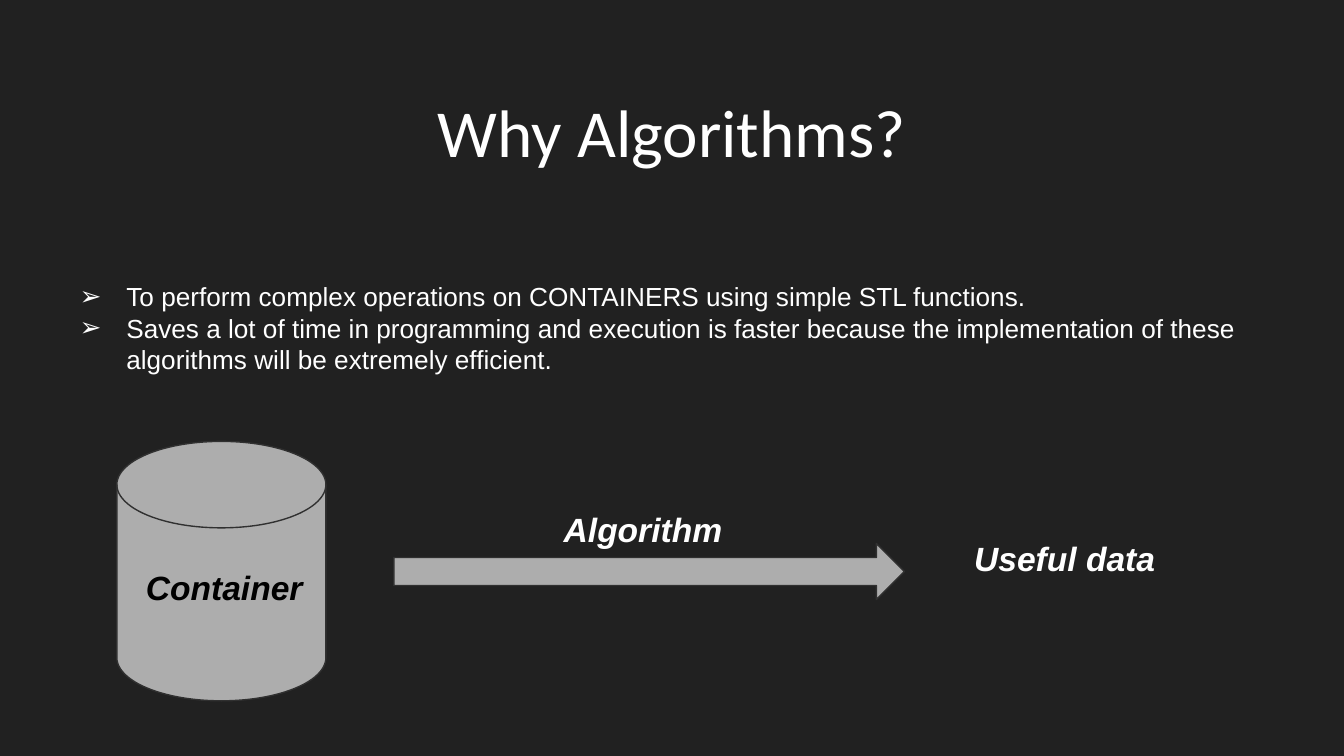
"""Build the slide that explains why algorithms are used."""
from lxml.etree import SubElement
from pptx import Presentation
from pptx.dml.color import RGBColor
from pptx.enum.shapes import MSO_SHAPE as Shape
from pptx.enum.text import MSO_ANCHOR as Anchor, MSO_AUTO_SIZE as AutoSize, PP_ALIGN as Align
from pptx.oxml.ns import qn
from pptx.util import Pt

BACKGROUND = RGBColor(0x21, 0x21, 0x21)
WHITE = RGBColor(0xFF, 0xFF, 0xFF)
BLACK = RGBColor(0, 0, 0)
GRAY = RGBColor(0xAD, 0xAD, 0xAD)
OUTLINE = RGBColor(0x30, 0x30, 0x30)

INSET = 7.2
TITLE = "Why Algorithms?"
TITLE_BOX = (132.5, 41, 455, 53.3)
REASONS = [
    "To perform complex operations on CONTAINERS using simple STL functions.",
    "Saves a lot of time in programming and execution is faster because the "
    "implementation of these algorithms will be extremely efficient.",
]
REASONS_BOX = (24.5, 58.3, 671, 161.3)
REASONS_BOTTOM_INSET = 18.7
SHAPES = [
    (Shape.FLOWCHART_MAGNETIC_DISK, (62.6, 236.5, 112, 139)),
    (Shape.RIGHT_ARROW, (211, 291.2, 273.5, 30)),
]
LABELS = [
    ("Container", (66.2, 296.6, 108, 35.3), BLACK, Align.CENTER),
    ("Algorithm", (259.2, 265.7, 170.6, 15.1), WHITE, Align.CENTER),
    ("Useful data", (514.8, 280.8, 133.9, 97.2), WHITE, Align.LEFT),
]
TITLE_FONT = {"name": "Calibri", "size": Pt(36)}
REASON_FONT = {"name": "Arial", "size": Pt(14)}
LABEL_FONT = {"name": "Arial", "size": Pt(18), "bold": True, "italic": True}


def place(shape, box):
    for name, value in zip(("left", "top", "width", "height"), box):
        setattr(shape, name, Pt(value))


def write(shape, lines, font, color, alignment, anchor=Anchor.TOP, bottom=INSET):
    frame = shape.text_frame
    settings = {
        "word_wrap": True, "auto_size": AutoSize.NONE, "vertical_anchor": anchor,
        "margin_left": Pt(INSET), "margin_right": Pt(INSET),
        "margin_top": Pt(INSET), "margin_bottom": Pt(bottom),
    }
    for name, value in settings.items():
        setattr(frame, name, value)
    frame.text = "\n".join(lines)
    for paragraph in frame.paragraphs:
        paragraph.alignment = alignment
        paragraph.space_before = Pt(0)
        run_font = paragraph.runs[0].font
        for name, value in font.items():
            setattr(run_font, name, value)
        run_font.color.rgb = color


def add_bullet(paragraph):
    properties = paragraph._p.get_or_add_pPr()
    properties.set("marL", str(Pt(36)))
    properties.set("indent", str(Pt(-25)))
    color = SubElement(properties, qn("a:buClr"))
    SubElement(color, qn("a:srgbClr"), val=str(WHITE))
    SubElement(properties, qn("a:buFont"), typeface="Arial")
    SubElement(properties, qn("a:buChar"), char="➢")


def main():
    presentation = Presentation()
    presentation.slide_width, presentation.slide_height = Pt(720), Pt(405)
    slide = presentation.slides.add_slide(presentation.slide_layouts[1])
    slide.background.fill.solid()
    slide.background.fill.fore_color.rgb = BACKGROUND

    title, body = slide.placeholders
    place(title, TITLE_BOX)
    write(title, [TITLE], TITLE_FONT, WHITE, Align.CENTER)
    place(body, REASONS_BOX)
    write(body, REASONS, REASON_FONT, WHITE, Align.LEFT, Anchor.BOTTOM, REASONS_BOTTOM_INSET)
    for paragraph in body.text_frame.paragraphs:
        add_bullet(paragraph)

    for kind, box in SHAPES:
        shape = slide.shapes.add_shape(kind, *map(Pt, box))
        shape.shadow.inherit = False
        shape.fill.solid()
        shape.fill.fore_color.rgb = GRAY
        shape.line.color.rgb = OUTLINE
        shape.line.width = Pt(0.75)

    for text, box, color, alignment in LABELS:
        label = slide.shapes.add_textbox(*map(Pt, box))
        write(label, [text], LABEL_FONT, color, alignment)

    presentation.save("out.pptx")


if __name__ == "__main__":
    main()
